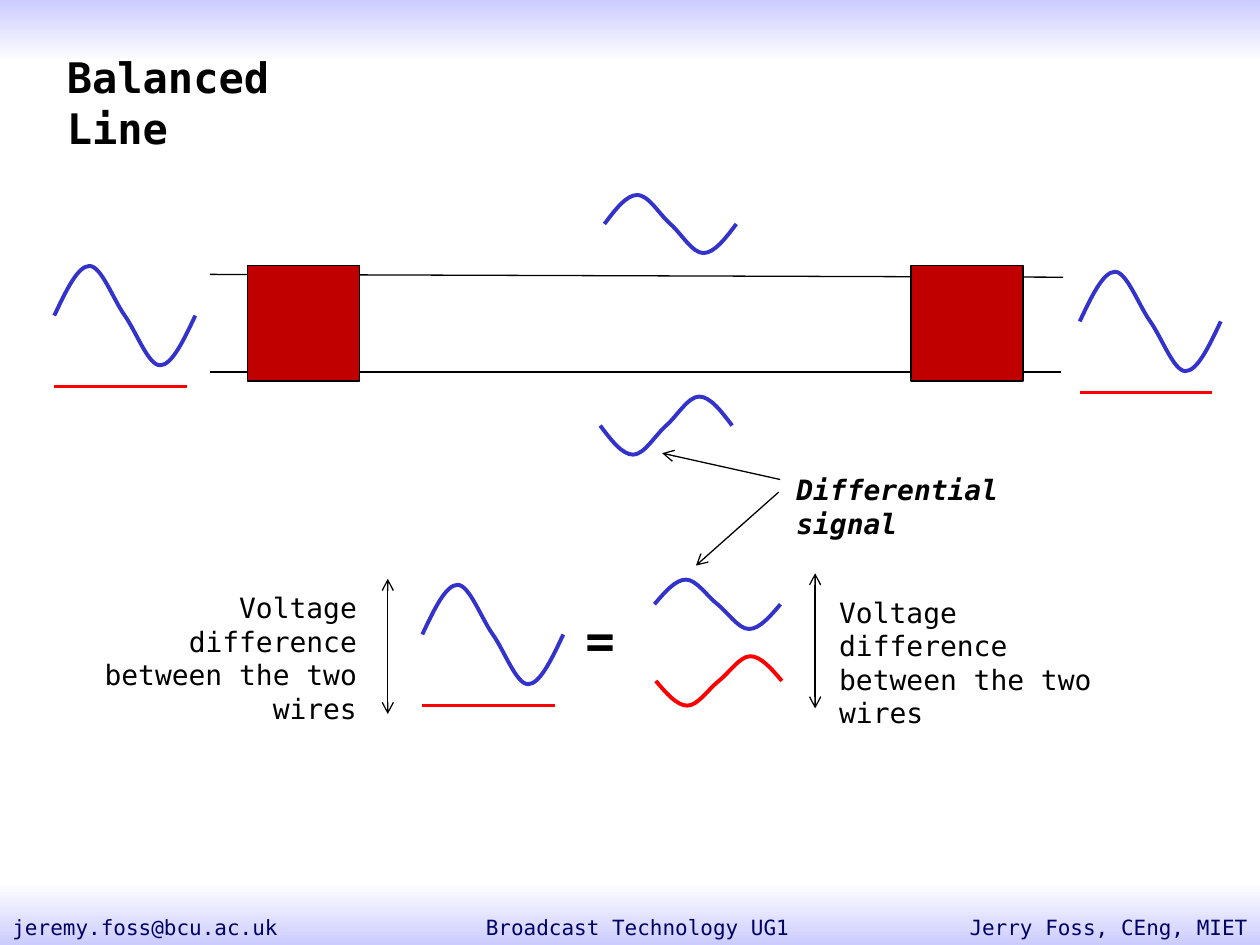
from lxml.etree import SubElement
from pptx import Presentation
from pptx.dml.color import RGBColor
from pptx.enum.shapes import MSO_CONNECTOR, MSO_SHAPE
from pptx.enum.text import MSO_ANCHOR, PP_ALIGN
from pptx.oxml.ns import qn
from pptx.util import Pt

FONT = "DejaVu Sans Mono"
BLACK = RGBColor(0x00, 0x00, 0x00)
WHITE = RGBColor(0xFF, 0xFF, 0xFF)
LILAC = RGBColor(0xCC, 0xCC, 0xFF)
NAVY = RGBColor(0x00, 0x00, 0x66)
BLUE = RGBColor(0x33, 0x33, 0xCC)
RED = RGBColor(0xFF, 0x00, 0x00)
DARK_RED = RGBColor(0xC0, 0x00, 0x00)
LEFT, CENTER, RIGHT = PP_ALIGN.LEFT, PP_ALIGN.CENTER, PP_ALIGN.RIGHT

WIDTH, HEIGHT, BAND = 720, 540, 36

# top, upper colour, lower colour
BANDS = [(0, LILAC, WHITE), (HEIGHT - BAND, WHITE, LILAC)]

# text, left, width, alignment
FOOTERS = [
    ("Broadcast Technology UG1", 191.5, 345.6, CENTER),
    ("jeremy.foss@bcu.ac.uk", 0, 228, LEFT),
    ("Jerry Foss, CEng, MIET", 492, 228, RIGHT),
]

TITLE = "Balanced Line"
VOLTAGE = "Voltage difference between the two wires"

# text, left, top, width, height, size, alignment, bold, italic
LABELS = [
    (VOLTAGE, 31, 334, 180, 65.5, 16, RIGHT, False, False),
    (VOLTAGE, 472.5, 336.5, 180, 65.5, 16, LEFT, False, False),
    ("=", 327.5, 345, 36.5, 41, 28, LEFT, True, False),
    ("Differential signal", 448, 266.5, 154, 26.5, 16, LEFT, True, True),
]

# left, top, width, height, colour, inverted
LINE_WAVES = [
    (345.4, 111.4, 75.4, 33.2, BLUE, False),
    (343, 226.6, 75.4, 33.2, BLUE, True),
]
DIFFERENCE_WAVES = [
    (374, 331.2, 72, 28.2, BLUE, False),
    (374.8, 375, 72, 28.2, RED, True),
]

# left, top of a full signal drawn above its flat ground wire
SIGNALS = [(31, 152), (617, 155.3), (241.3, 334.2)]
SIGNAL_W, SIGNAL_H, GROUND_W, GROUND_DY = 80.6, 56.8, 75.6, 69

WIRES = [(120, 156.8, 607.5, 158.4), (120, 212.6, 606.3, 212.6)]
TRANSFORMER_LEFTS = [141.6, 520.6]

# x1, y1, x2, y2, arrow at both ends
ARROWS = [
    (221.6, 330.8, 221.6, 408, True),
    (465.8, 327.6, 465.8, 404.8, True),
    (445, 281.2, 397.7, 323.2, False),
    (445.8, 274, 378.4, 259, False),
]

# heights of the start point and of the control points of four Bezier arcs
WAVE = [1 / 2, 1 / 4, 0, 0, 0, 1 / 3, 1 / 2, 2 / 3, 1, 1, 1, 3 / 4, 1 / 2]


def set_text(shape, text, size, align, color=BLACK, bold=False, italic=False):
    tf = shape.text_frame
    tf.word_wrap = True
    tf.vertical_anchor = MSO_ANCHOR.TOP
    p = tf.paragraphs[0]
    p.text = text
    p.alignment = align
    font = p.font
    font.name, font.size, font.color.rgb = FONT, Pt(size), color
    font.bold, font.italic = bold, italic


def add_text(shapes, text, x, y, w, h, *style):
    set_text(shapes.add_textbox(Pt(x), Pt(y), Pt(w), Pt(h)), text, *style)


def add_band(shapes, top, upper, lower):
    sp = shapes.add_shape(MSO_SHAPE.RECTANGLE, 0, Pt(top), Pt(WIDTH), Pt(BAND))
    sp.shadow.inherit = False
    sp.line.fill.background()
    sp.fill.gradient()
    sp.fill.gradient_angle = 270
    for stop, color, position in zip(sp.fill.gradient_stops, (upper, lower), (0, 1)):
        stop.color.rgb = color
        stop.position = position


def add_line(shapes, x1, y1, x2, y2, color=BLACK, width=0.75, ends=()):
    cxn = shapes.add_connector(MSO_CONNECTOR.STRAIGHT, Pt(x1), Pt(y1), Pt(x2), Pt(y2))
    cxn.line.color.rgb = color
    cxn.line.width = Pt(width)
    for end in ends:
        SubElement(cxn.line._get_or_add_ln(), qn(end), type="arrow")
    SubElement(cxn._element.spPr, qn("a:effectLst"))


def add_wave(shapes, x, y, w, h, color, inverted=False):
    """Draw one sine period: a freeform whose segments are merged into Bezier arcs."""
    step = w / (len(WAVE) - 1)
    points = [(Pt(x + i * step), Pt(y + h * (1 - v if inverted else v)))
              for i, v in enumerate(WAVE)]
    builder = shapes.build_freeform(*points[0])
    builder.add_line_segments(points[1:], close=False)
    sp = builder.convert_to_shape()
    outline = sp._element.find(".//" + qn("a:path"))
    segments = outline.findall(qn("a:lnTo"))
    for i in range(0, len(segments), 3):
        arc = SubElement(outline, qn("a:cubicBezTo"))
        for segment in segments[i:i + 3]:
            arc.append(segment[0])
            outline.remove(segment)
    sp.shadow.inherit = False
    sp.fill.background()
    sp.line.color.rgb = color
    sp.line.width = Pt(2.25)


def main():
    prs = Presentation()
    prs.slide_width, prs.slide_height = Pt(WIDTH), Pt(HEIGHT)
    slide = prs.slides.add_slide(prs.slide_layouts[5])
    shapes = slide.shapes

    for band in BANDS:
        add_band(shapes, *band)
    for text, x, w, align in FOOTERS:
        add_text(shapes, text, x, 519, w, 21, 12, align, NAVY)

    title = shapes.title
    title.left, title.top, title.width, title.height = Pt(31), Pt(26), Pt(175), Pt(64)
    set_text(title, TITLE, 24, LEFT, BLACK, True)
    shapes._spTree.append(title._element)  # in front of the top band

    for wave in LINE_WAVES + DIFFERENCE_WAVES:
        add_wave(shapes, *wave)
    for x, y in SIGNALS:
        add_wave(shapes, x, y, SIGNAL_W, SIGNAL_H, BLUE)
        ground = y + GROUND_DY
        add_line(shapes, x, ground, x + GROUND_W, ground, RED, 2)

    for wire in WIRES:
        add_line(shapes, *wire)
    for x in TRANSFORMER_LEFTS:
        sp = shapes.add_shape(MSO_SHAPE.RECTANGLE, Pt(x), Pt(151.6), Pt(64), Pt(66.2))
        sp.shadow.inherit = False
        sp.fill.solid()
        sp.fill.fore_color.rgb = DARK_RED
        sp.line.color.rgb = BLACK
        sp.line.width = Pt(0.75)

    for text, x, y, w, h, size, align, bold, italic in LABELS:
        add_text(shapes, text, x, y, w, h, size, align, BLACK, bold, italic)
    for *ends, both in ARROWS:
        add_line(shapes, *ends, ends=("a:headEnd", "a:tailEnd") if both else ("a:tailEnd",))

    prs.save("out.pptx")


if __name__ == "__main__":
    main()
